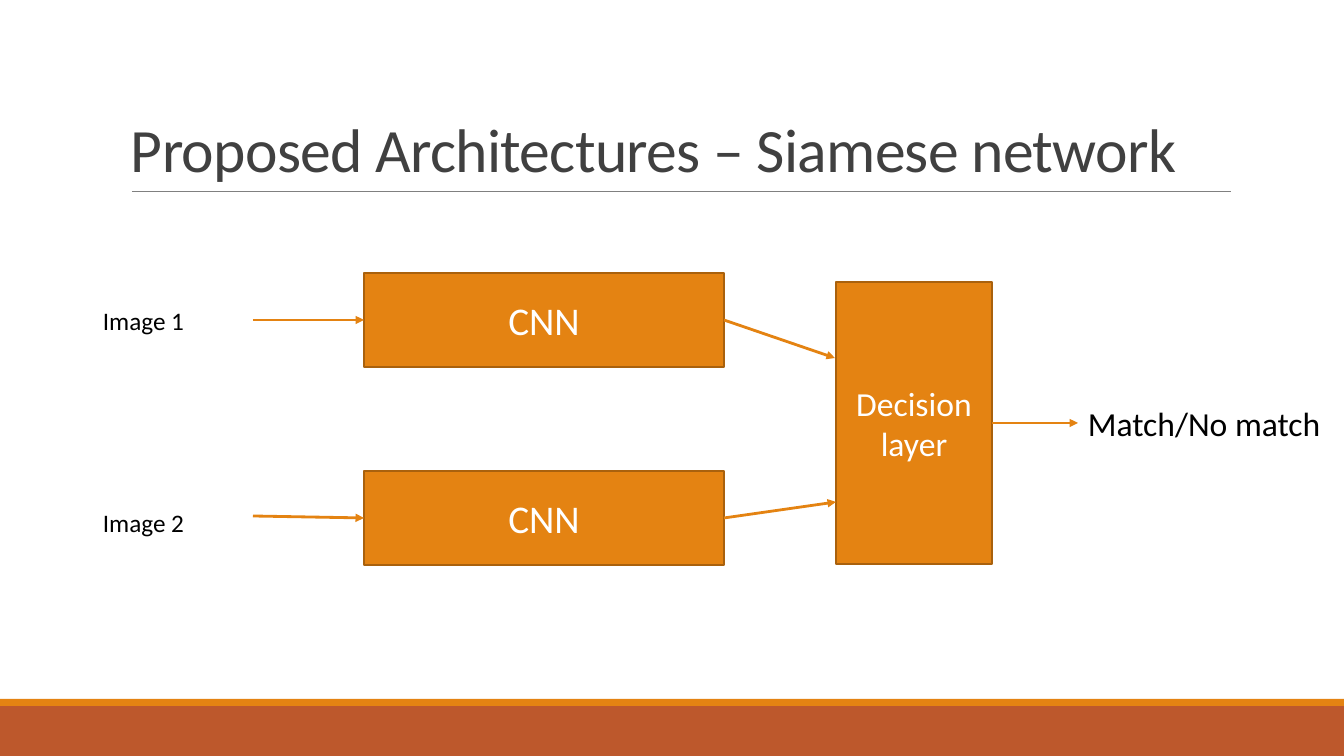
from dataclasses import dataclass

from lxml import etree
from pptx import Presentation, util as u
from pptx.dml.color import RGBColor
from pptx.enum import shapes, text
from pptx.oxml import ns

# Content: lengths in px, boxes as left, top, width, height
SIZE = (1344, 756)
TITLE = ("Proposed Architectures – Siamese network", (121, 30, 1109, 160))
TITLE_RULE = (132, 191, 1231, 191)
FOOTER_BAR = (0, 706, 1344, 50)
FOOTER_STRIPE = (0, 699, 1344, 7)
INPUTS = [("Image 1", (93, 300, 135, 40)), ("Image 2", (93, 502, 135, 40))]
OUTPUT = ("Match/No match", (1078, 398, 266, 50))
NETWORKS = [("CNN", (364, 273, 360, 94)), ("CNN", (364, 471, 360, 94))]
DECISION = ("Decision layer", (836, 282, 156, 282))
INPUT_STARTS = [(253, 320), (253, 516)]
DECISION_ENTRIES = [(835, 358), (836, 502)]
OUTPUT_END = (1078, 423)


@dataclass(frozen=True)
class Theme:
    font: str = "Calibri"
    orange: str = "E48312"
    edge: str = "A9610D"
    rust: str = "BD582C"
    rule: str = "808080"
    heading: str = "404040"
    ink: str = "000000"
    white: str = "FFFFFF"
    title_size: int = 44
    network_size: int = 28
    decision_size: int = 24
    input_size: int = 18


THEME = Theme()
SCALE = u.Inches(1) / 100.8


def emu(*lengths):
    return [round(length * SCALE) for length in lengths]


def write(box, words, *, size, color, align=text.PP_ALIGN.LEFT,
          anchor=text.MSO_ANCHOR.TOP, spacing=None, tracking=None):
    frame = box.text_frame
    frame.word_wrap = True
    frame.vertical_anchor = anchor
    para = frame.paragraphs[0]
    para.alignment = align
    if spacing:
        para.line_spacing = spacing
    span = para.add_run()
    span.text = words
    span.font.name = THEME.font
    span.font.size = u.Pt(size)
    span.font.color.rgb = RGBColor.from_string(color)
    if tracking:
        span.font._element.set("spc", str(tracking))


def add_block(page, place, fill, edge=None):
    block = page.shapes.add_shape(shapes.MSO_SHAPE.RECTANGLE, *emu(*place))
    block.shadow.inherit = False
    block.fill.solid()
    block.fill.fore_color.rgb = RGBColor.from_string(fill)
    if edge:
        block.line.color.rgb = RGBColor.from_string(edge)
        block.line.width = u.Pt(1.25)
    else:
        block.line.fill.background()
    return block


def add_line(page, start, end, color, width, arrow=False):
    line = page.shapes.add_connector(
        shapes.MSO_CONNECTOR.STRAIGHT, *emu(*start, *end))
    line.line.color.rgb = RGBColor.from_string(color)
    line.line.width = u.Pt(width)
    if arrow:
        etree.SubElement(line.line._get_or_add_ln(), ns.qn("a:tailEnd"), type="triangle")
    etree.SubElement(line._element.spPr, ns.qn("a:effectLst"))


def right_middle(place):
    left, top, width, height = place
    return left + width, top + height // 2


def left_middle(place):
    left, top, _, height = place
    return left, top + height // 2


def main():
    deck = Presentation()
    deck.slide_width, deck.slide_height = emu(*SIZE)
    page = deck.slides.add_slide(deck.slide_layouts[6])

    # Footer bands and title
    add_block(page, FOOTER_BAR, THEME.rust)
    add_block(page, FOOTER_STRIPE, THEME.orange)
    add_line(page, TITLE_RULE[:2], TITLE_RULE[2:], THEME.rule, 0.5)
    words, place = TITLE
    write(page.shapes.add_textbox(*emu(*place)), words, size=THEME.title_size,
          color=THEME.heading, anchor=text.MSO_ANCHOR.BOTTOM, spacing=0.85,
          tracking=-50)

    # Input and output labels
    labels = [(*label, THEME.input_size) for label in INPUTS]
    labels.append((*OUTPUT, THEME.decision_size))
    for words, place, size in labels:
        write(page.shapes.add_textbox(*emu(*place)), words, size=size, color=THEME.ink)

    # Networks and decision layer
    blocks = [(*network, THEME.network_size) for network in NETWORKS]
    blocks.append((*DECISION, THEME.decision_size))
    for words, place, size in blocks:
        write(add_block(page, place, THEME.orange, THEME.edge), words, size=size,
              color=THEME.white, align=text.PP_ALIGN.CENTER,
              anchor=text.MSO_ANCHOR.MIDDLE)

    # Arrows through the network
    arrows = [(right_middle(DECISION[1]), OUTPUT_END)]
    for start, (_, place), entry in zip(INPUT_STARTS, NETWORKS, DECISION_ENTRIES):
        arrows += [(start, left_middle(place)), (right_middle(place), entry)]
    for start, end in arrows:
        add_line(page, start, end, THEME.orange, 2, arrow=True)

    deck.save("out.pptx")


if __name__ == "__main__":
    main()
